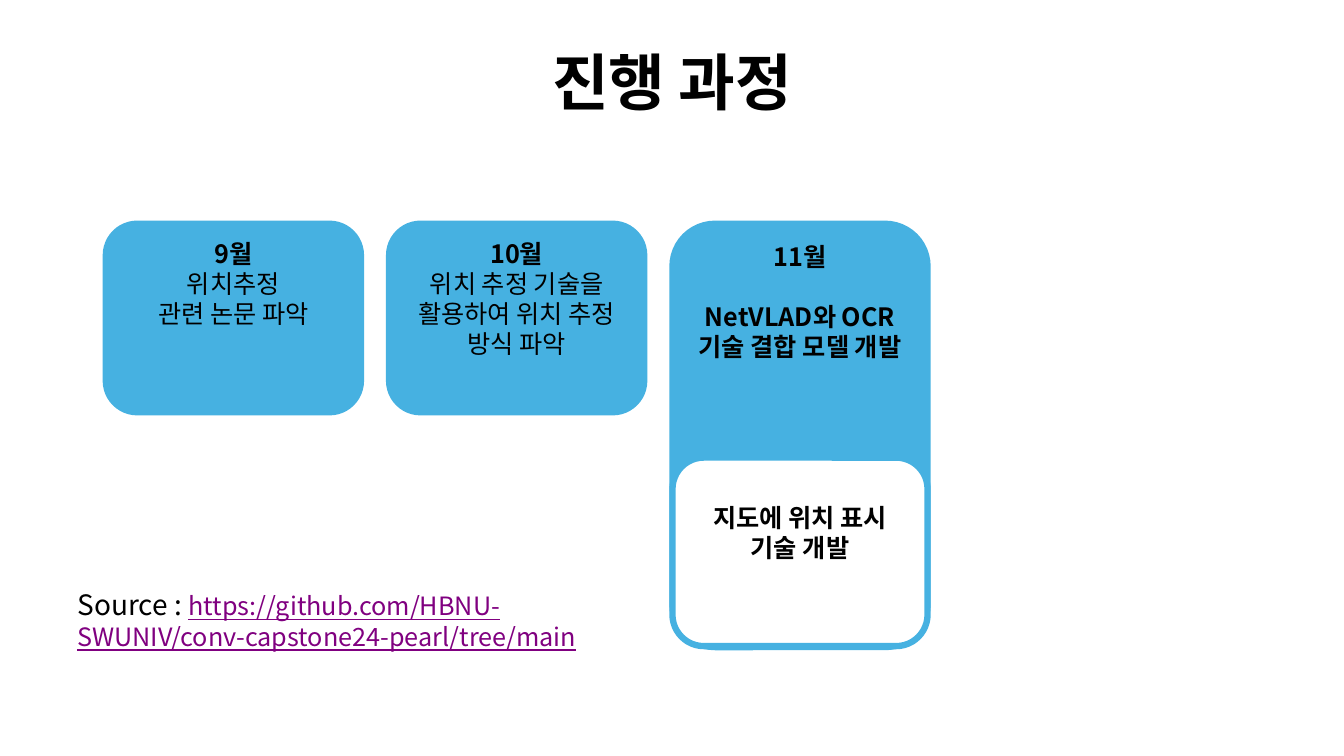
from lxml import etree
from pptx import Presentation
from pptx.dml.color import RGBColor
from pptx.enum.shapes import MSO_SHAPE
from pptx.enum.text import MSO_ANCHOR, PP_ALIGN
from pptx.oxml.ns import qn
from pptx.util import Pt

PX = 9144
FACE = "Noto Sans CJK KR"
BLACK = RGBColor(0x00, 0x00, 0x00)
WHITE = RGBColor(0xFF, 0xFF, 0xFF)
BLUE = RGBColor(0x46, 0xB1, 0xE1)
PURPLE = RGBColor(0x80, 0x00, 0x80)
ROUND = MSO_SHAPE.ROUNDED_RECTANGLE
TOP, MIDDLE = MSO_ANCHOR.TOP, MSO_ANCHOR.MIDDLE
LEFT, CENTER = PP_ALIGN.LEFT, PP_ALIGN.CENTER

HEAD = {"size": Pt(44), "bold": True}
BOLD = {"size": Pt(18), "bold": True}
PLAIN = {"size": Pt(18), "bold": False}
LABEL = {"size": Pt(20)}
LINK = {"size": Pt(18), "underline": True}

CARD_X, CARD_Y, CARD_W, CARD_H = 105, 222, 253, 187
STEP, TALL, INNER_Y = 281, 420, 454
GAP = Pt(21.5)

MONTHS = [
    (CARD_H, 0, [("9월", BOLD), ("위치추정", PLAIN), ("관련 논문 파악", PLAIN)]),
    (CARD_H, 0, [("10월", BOLD),
                 ("위치 추정 기술을 활용하여 위치 추정 방식 파악", PLAIN)]),
    (TALL, GAP, [("11월", BOLD), ("NetVLAD와 OCR 기술 결합 모델 개발", BOLD)]),
]


def scale(*sizes):
    return [size * PX for size in sizes]


def add_run(para, text, style, color=BLACK):
    run = para.add_run()
    run.text = text
    for name, value in style.items():
        setattr(run.font, name, value)
    run.font.name = FACE
    run.font.color.rgb = color
    props = run._r.get_or_add_rPr()
    etree.SubElement(props, qn("a:ea")).set("typeface", FACE)
    return props


def set_frame(shape, anchor, align):
    frame = shape.text_frame
    frame.word_wrap = True
    frame.vertical_anchor = anchor
    frame.paragraphs[0].alignment = align
    return frame


def add_box(slide, box, anchor, align):
    return set_frame(slide.shapes.add_textbox(*scale(*box)), anchor, align)


def add_card(slide, box, fill, lines, gap=0):
    card = slide.shapes.add_shape(ROUND, *scale(*box))
    card.shadow.inherit = False
    card.fill.solid()
    card.fill.fore_color.rgb = fill
    card.line.color.rgb = BLUE
    card.line.width = Pt(4.5)
    frame = set_frame(card, TOP, CENTER)
    for index, (text, style) in enumerate(lines):
        para = frame.add_paragraph() if index else frame.paragraphs[0]
        para.alignment = CENTER
        if index and gap:
            para.space_before = gap
        add_run(para, text, style)
    return frame


def add_title(slide):
    frame = add_box(slide, (455, 43, 423, 75), MIDDLE, CENTER)
    for side in ("left", "right", "top", "bottom"):
        setattr(frame, f"margin_{side}", 0)
    props = add_run(frame.paragraphs[0], "진행 과정", HEAD)
    props.set("spc", "-20")


def add_source(slide):
    frame = add_box(slide, (67, 578, 532, 104), TOP, LEFT)
    para = frame.paragraphs[0]
    add_run(para, "Source : ", LABEL)
    add_run(para, "https://github.com/HBNU-SWUNIV/conv-capstone24-pearl/tree/main",
            LINK, PURPLE)


def main():
    deck = Presentation()
    deck.slide_width, deck.slide_height = scale(1333, 750)
    slide = deck.slides.add_slide(deck.slide_layouts[6])
    add_title(slide)
    for index, (height, gap, lines) in enumerate(MONTHS):
        left = CARD_X + index * STEP
        add_card(slide, (left, CARD_Y, CARD_W, height), BLUE, lines, gap)
    inner = add_card(slide, (left, INNER_Y, CARD_W, CARD_H), WHITE,
                     [("지도에 위치 표시 기술 개발", BOLD)])
    inner.margin_top = 35 * PX
    add_source(slide)
    deck.save("out.pptx")


if __name__ == "__main__":
    main()
